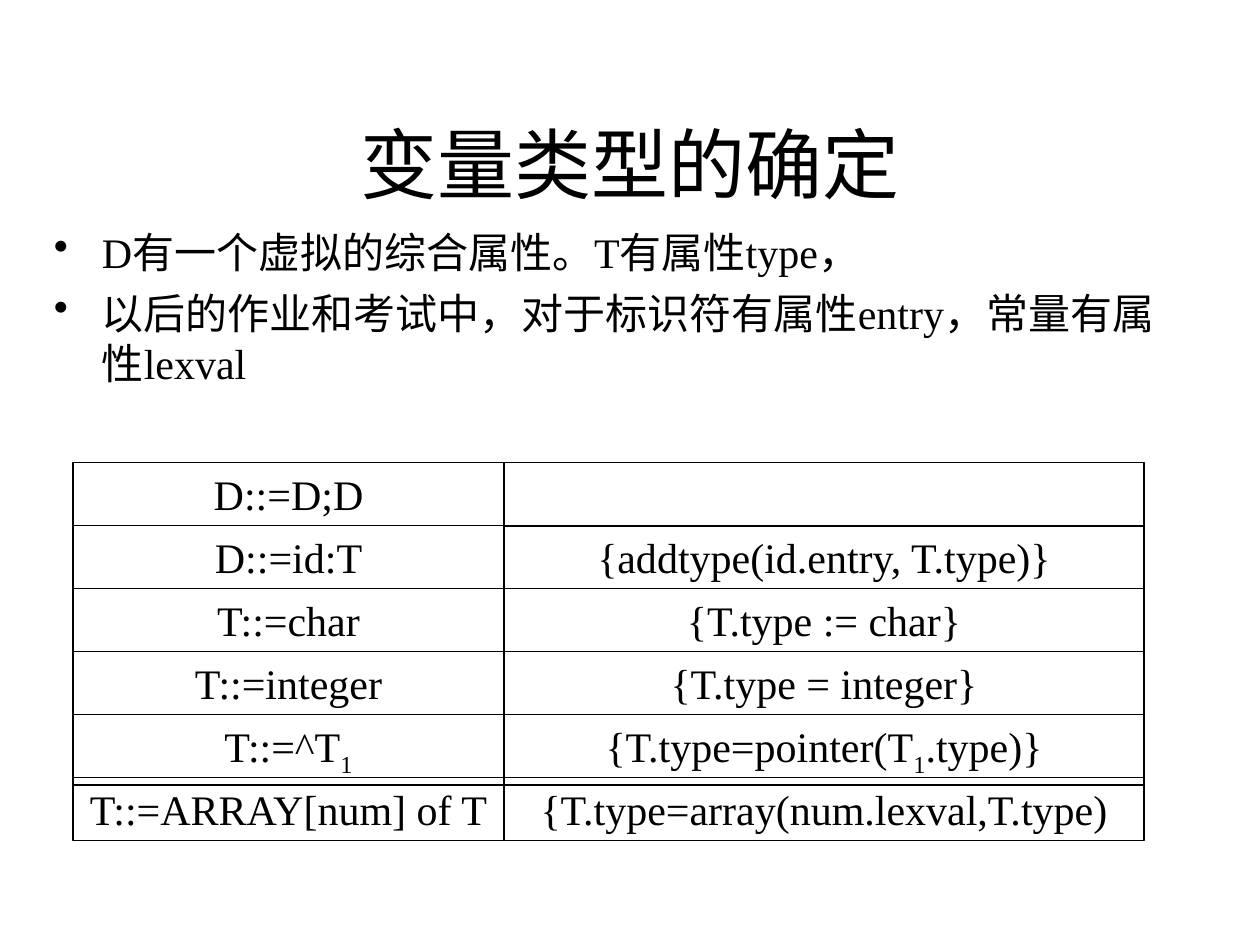
"""Build the slide on determining variable types."""
from lxml import etree
from pptx import Presentation
from pptx import util as u
from pptx.dml.color import RGBColor
from pptx.enum import shapes, text
from pptx.oxml.ns import qn

BLACK = RGBColor(0, 0, 0)
WHITE = RGBColor(255, 255, 255)
FONT = "Times New Roman"


def write(tf, lines, size=24, align=text.PP_ALIGN.CENTER,
          anchor=text.MSO_ANCHOR.TOP, bullet=None, gap=0):
    """Write lines into a frame; the pieces between ~ marks alternate to subscript."""
    tf.word_wrap = True
    tf.auto_size = text.MSO_AUTO_SIZE.NONE
    tf.vertical_anchor = anchor
    for i, line in enumerate(lines):
        p = tf.add_paragraph() if i else tf.paragraphs[0]
        p.alignment = align
        p.space_before = u.Pt(gap if i else 0)
        if bullet:
            pPr = p._p.get_or_add_pPr()
            pPr.set("marL", str(u.Inches(0.38)))
            pPr.set("indent", str(-u.Inches(0.38)))
            etree.SubElement(pPr, qn("a:buChar")).set("char", bullet)
        for j, piece in enumerate(line.split("~")):
            r = p.add_run()
            r.text = piece
            r.font.size = u.Pt(size)
            r.font.name = FONT
            r.font.color.rgb = BLACK
            if j % 2:
                r._r.get_or_add_rPr().set("baseline", "-25000")


prs = Presentation()
prs.slide_width, prs.slide_height = u.Inches(10), u.Inches(7.5)
s = prs.slides.add_slide(prs.slide_layouts[5])

title = s.shapes.title
title.left, title.top = u.Inches(0.75), u.Inches(0.67)
title.width, title.height = u.Inches(8.5), u.Inches(1.25)
write(title.text_frame, ["变量类型的确定"], size=44, anchor=text.MSO_ANCHOR.MIDDLE)

notes = s.shapes.add_textbox(u.Inches(0.33), u.Inches(1.75), u.Inches(9.17), u.Inches(1.5))
write(notes.text_frame,
      ["D有一个虚拟的综合属性。T有属性type，",
       "以后的作业和考试中，对于标识符有属性entry，常量有属性lexval"],
      align=text.PP_ALIGN.LEFT, bullet="•", gap=6)

rules = [
    ("D::=D;D", ""),
    ("D::=id:T", "{addtype(id.entry, T.type)}"),
    ("T::=char", "{T.type := char}"),
    ("T::=integer", "{T.type = integer}"),
    ("T::=^T~1~", "{T.type=pointer(T~1~.type)}"),
    ("T::=ARRAY[num] of T", "{T.type=array(num.lexval,T.type)"),
]
columns = [(0.58, 3.42), (4, 5.08)]
top, row_height = 3.67, 0.5

for c, (left, width) in enumerate(columns):
    for row, rule in enumerate(rules):
        height = 0.56 if "~" in rule[c] else row_height if rule[c] else 0.51
        sp = s.shapes.add_shape(
            shapes.MSO_SHAPE.RECTANGLE, u.Inches(left), u.Inches(top + row * row_height),
            u.Inches(width), u.Inches(height))
        sp.shadow.inherit = False
        sp.fill.background()
        sp.line.color.rgb = BLACK
        sp.line.width = u.Pt(0.75)
        if rule[c]:
            write(sp.text_frame, [rule[c].removesuffix("~")])

s.background.fill.solid()
s.background.fill.fore_color.rgb = WHITE
prs.save("out.pptx")
